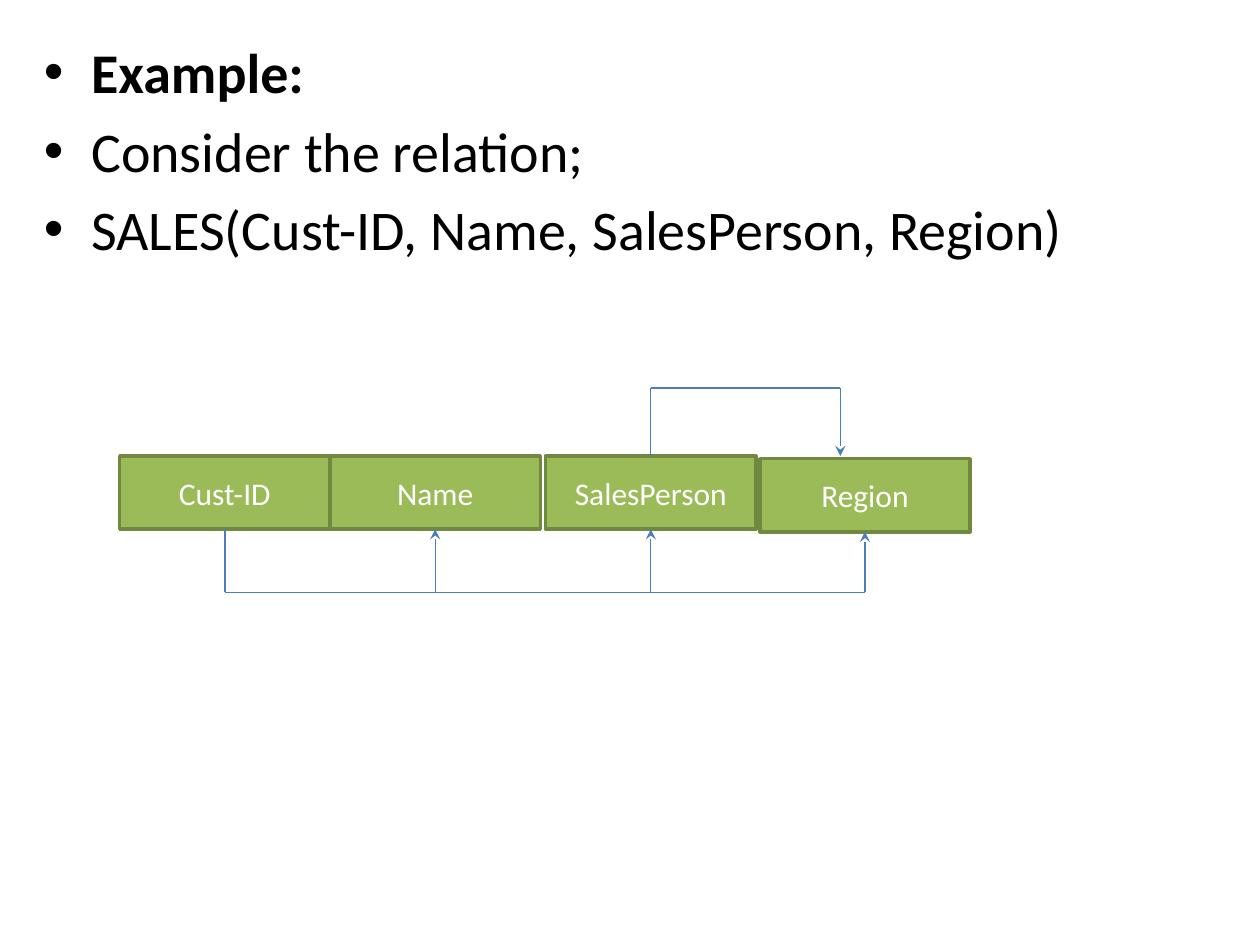
from lxml.etree import SubElement
from pptx import Presentation
from pptx.dml.color import RGBColor
from pptx.enum.shapes import MSO_CONNECTOR, MSO_SHAPE
from pptx.enum.text import MSO_ANCHOR, PP_ALIGN
from pptx.oxml.ns import qn
from pptx.util import Pt

COLORS = {"text": "000000", "fill": "9BBB59", "border": "718840",
          "label": "FFFFFF", "arrow": "4A7EBB"}
TOP, BOTTOM = 0, 2


def color(name):
    return RGBColor.from_string(COLORS[name])


class DependencySlide:
    font = "Calibri"

    def __init__(self, deck):
        self.page = deck.slides.add_slide(deck.slide_layouts[6])

    def style(self, paragraph, size, name, bold=False):
        for span in paragraph.runs:
            span.font.name = self.font
            span.font.size = Pt(size)
            span.font.bold = bold
            span.font.color.rgb = color(name)

    def bullets(self, left, top, width, height, lines):
        box = self.page.shapes.add_textbox(Pt(left), Pt(top), Pt(width), Pt(height))
        frame = box.text_frame
        frame.word_wrap = True
        frame.text = "\n".join(lines)
        for index, paragraph in enumerate(frame.paragraphs):
            if index:
                paragraph.space_before = Pt(6.4)
            properties = paragraph._p.get_or_add_pPr()
            properties.set("marL", str(Pt(27)))
            properties.set("indent", str(Pt(-27)))
            SubElement(properties, qn("a:buFont"), typeface="Arial")
            SubElement(properties, qn("a:buChar"), char="•")
            self.style(paragraph, 32, "text", bold=index == 0)

    def attribute(self, label, left, top, width, height):
        box = self.page.shapes.add_shape(
            MSO_SHAPE.RECTANGLE, Pt(left), Pt(top), Pt(width), Pt(height))
        box.shadow.inherit = False
        box.fill.solid()
        box.fill.fore_color.rgb = color("fill")
        box.line.color.rgb = color("border")
        box.line.width = Pt(2)
        frame = box.text_frame
        frame.text = label
        frame.vertical_anchor = MSO_ANCHOR.MIDDLE
        frame.paragraphs[0].alignment = PP_ALIGN.CENTER
        self.style(frame.paragraphs[0], 18, "label")
        return box

    def line(self, start, end, source=None, target=None, arrow=False):
        """source and target are (box, connection site) pairs."""
        connector = self.page.shapes.add_connector(
            MSO_CONNECTOR.STRAIGHT, *(Pt(value) for value in (*start, *end)))
        connector.line.color.rgb = color("arrow")
        connector.line.width = Pt(0.75)
        if arrow:
            SubElement(connector.line._get_or_add_ln(), qn("a:tailEnd"), type="stealth")
        SubElement(connector._element.spPr, qn("a:effectLst"))
        if source:
            connector.begin_connect(*source)
        if target:
            connector.end_connect(*target)


def main():
    deck = Presentation()
    deck.slide_width, deck.slide_height = Pt(720), Pt(540)
    slide = DependencySlide(deck)

    # Introduction
    slide.bullets(18, 18, 666, 464.4, [
        "Example:",
        "Consider the relation;",
        "SALES(Cust-ID, Name, SalesPerson, Region)",
    ])

    # Attributes of the relation
    width, height, row_top = 120.2, 41.8, 260.6
    attributes = [("Cust-ID", 68.4, row_top), ("Name", 188.6, row_top),
                  ("SalesPerson", 311.8, row_top), ("Region", 434.2, row_top + 1.5)]
    boxes = [slide.attribute(label, left, top, width, height)
             for label, left, top in attributes]
    centers = [left + width / 2 for _, left, _ in attributes]
    bottoms = [top + height for _, _, top in attributes]

    # Cust-ID determines every other attribute
    lower = 338.4
    slide.line((centers[0], bottoms[0]), (centers[0], lower), source=(boxes[0], BOTTOM))
    slide.line((centers[0], lower), (centers[-1], lower))
    for box, center, bottom in zip(boxes[1:], centers[1:], bottoms[1:]):
        slide.line((center, lower), (center, bottom), target=(box, BOTTOM), arrow=True)

    # SalesPerson determines Region
    upper, region_x = 221.8, 480.2
    person_x = centers[2]
    slide.line((person_x, row_top), (person_x, upper), source=(boxes[2], TOP))
    slide.line((person_x, upper), (region_x, upper))
    slide.line((region_x, upper), (region_x, row_top), arrow=True)

    deck.save("out.pptx")


if __name__ == "__main__":
    main()
